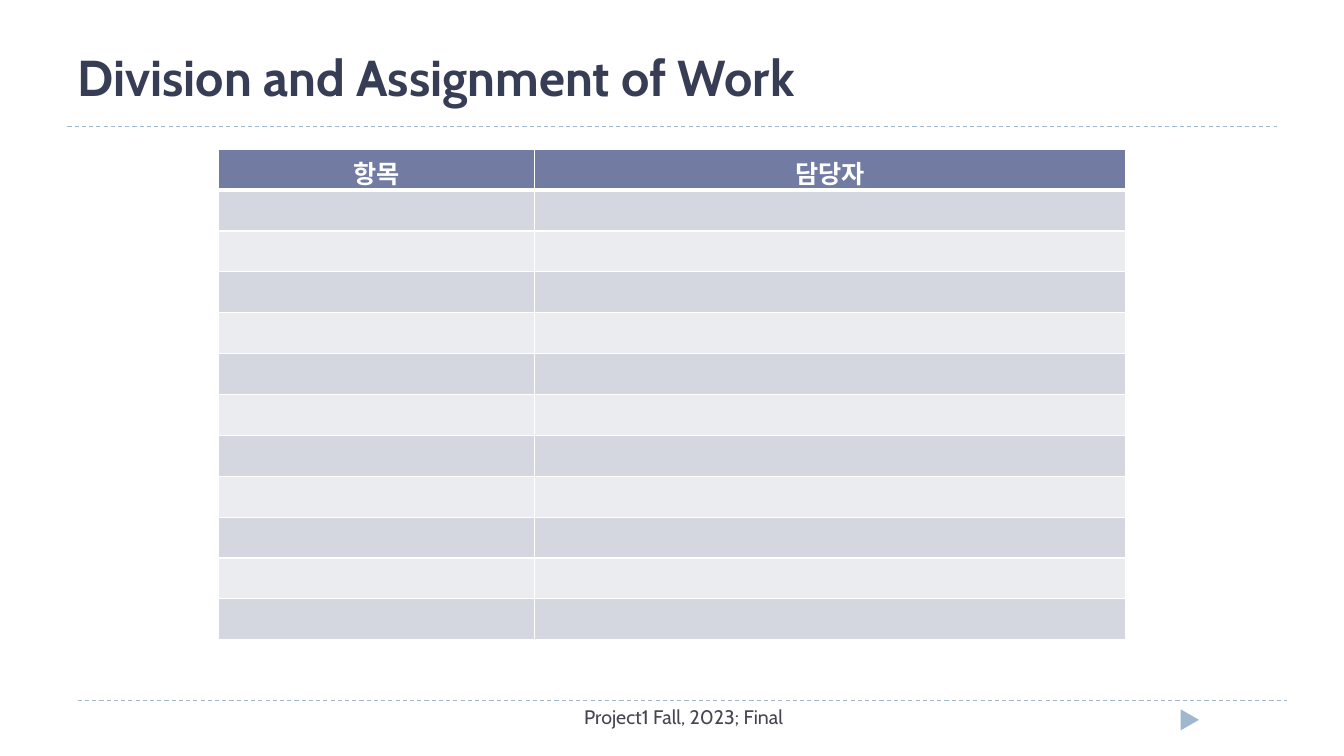
from lxml import etree
from pptx import Presentation
from pptx.dml.color import RGBColor
from pptx.enum.dml import MSO_LINE
from pptx.enum.shapes import MSO_CONNECTOR, MSO_SHAPE
from pptx.enum.text import MSO_ANCHOR, MSO_AUTO_SIZE, PP_ALIGN
from pptx.oxml.ns import qn
from pptx.util import Cm, Pt

DASH = MSO_LINE.DASH
STRAIGHT = MSO_CONNECTOR.STRAIGHT
TRIANGLE = MSO_SHAPE.ISOSCELES_TRIANGLE
BOTTOM, MIDDLE = MSO_ANCHOR.BOTTOM, MSO_ANCHOR.MIDDLE
LEFT, CENTER = PP_ALIGN.LEFT, PP_ALIGN.CENTER
NO_FIT = MSO_AUTO_SIZE.NONE

COLORS = {
    "title": "373D54", "footer": "464653", "accent": "9FB8CD",
    "head": "727CA3", "odd": "D5D7E0", "even": "EBECF0", "white": "FFFFFF",
}
HEADS = ["항목", "담당자"]
WIDTHS = [7.95, 14.91]
ROWS = 12
ROW_H = 1.03


def style(para, size, color, align, bold=False):
    """Set the font and alignment of one paragraph."""
    para.alignment = align
    font = para.font
    font.name = "Cabin"
    font.size = Pt(size)
    font.bold = bold
    font.color.rgb = RGBColor.from_string(COLORS[color])


def border(cell, side, width):
    """Draw a white border on one side (L, R, T or B), width in points."""
    props = cell._tc.get_or_add_tcPr()
    line = etree.SubElement(props, qn("a:ln" + side), w=str(Pt(width)))
    fill = etree.SubElement(line, qn("a:solidFill"))
    etree.SubElement(fill, qn("a:srgbClr"), val=COLORS["white"])


prs = Presentation()
prs.slide_width, prs.slide_height = Cm(33.87), Cm(19.05)
slide = prs.slides.add_slide(prs.slide_layouts[5])
shapes = slide.shapes

# Dashed rules above and below the content
for x, y in [(1.96, 17.65), (1.7, 3.18)]:
    rule = shapes.add_connector(STRAIGHT, Cm(x), Cm(y), Cm(x + 30.48), Cm(y))
    rule.line.color.rgb = RGBColor.from_string(COLORS["accent"])
    rule.line.width = Pt(0.75)
    rule.line.dash_style = DASH
    etree.SubElement(rule._element.spPr, qn("a:effectLst"))

# Page marker
mark = shapes.add_shape(TRIANGLE, Cm(29.72), Cm(17.91), Cm(0.53), Cm(0.46))
mark.rotation = 90
mark.shadow.inherit = False
mark.fill.solid()
mark.fill.fore_color.rgb = RGBColor.from_string(COLORS["accent"])
mark.line.fill.background()

# Title
title = shapes.title
title.left, title.top = Cm(1.7), Cm(1.02)
title.width, title.height = Cm(30.48), Cm(1.8)
frame = title.text_frame
frame.text = "Division and Assignment of Work"
frame.auto_size = NO_FIT
frame.vertical_anchor = BOTTOM
style(frame.paragraphs[0], 36, "title", LEFT, True)

# Footer
foot = shapes.add_textbox(Cm(10.74), Cm(17.65), Cm(12.98), Cm(1.02))
frame = foot.text_frame
frame.word_wrap = True
frame.text = "Project1 Fall, 2023; Final"
style(frame.paragraphs[0], 14, "footer", CENTER)

# Work table
table = shapes.add_table(ROWS, len(HEADS), Cm(5.51), Cm(3.76),
                         Cm(sum(WIDTHS)), Cm(ROWS * ROW_H)).table
for col, width in zip(table.columns, WIDTHS):
    col.width = Cm(width)
for r, row in enumerate(table.rows):
    row.height = Cm(ROW_H)
    shade = "head" if r == 0 else "odd" if r % 2 else "even"
    for c, cell in enumerate(row.cells):
        for side in "LRTB":
            thick = (r, side) in [(0, "B"), (1, "T")]
            border(cell, side, 3 if thick else 1)
        cell.fill.solid()
        cell.fill.fore_color.rgb = RGBColor.from_string(COLORS[shade])
        cell.vertical_anchor = MIDDLE
        if r == 0:
            cell.text = HEADS[c]
            style(cell.text_frame.paragraphs[0], 18, "white", CENTER, True)

prs.save("out.pptx")
